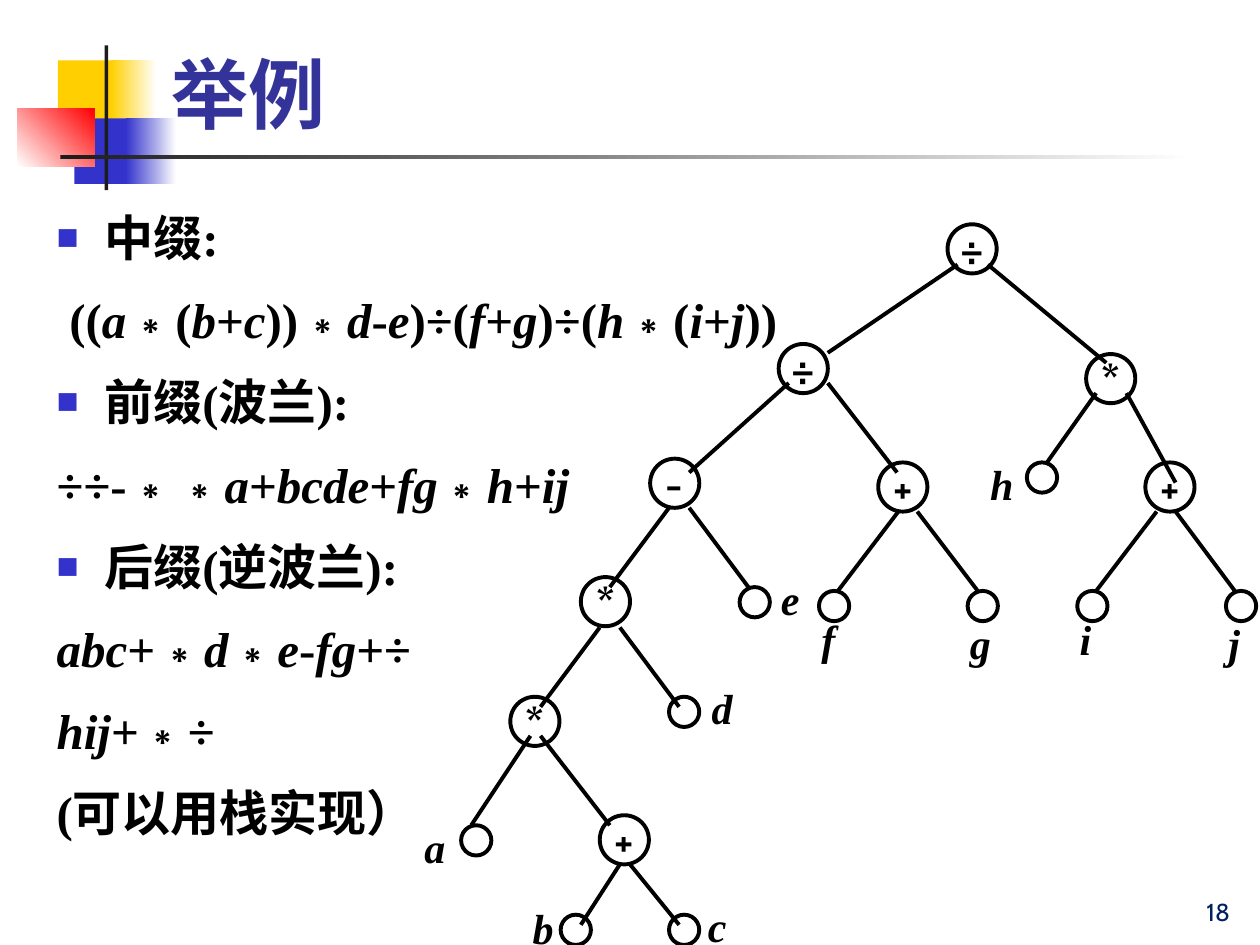
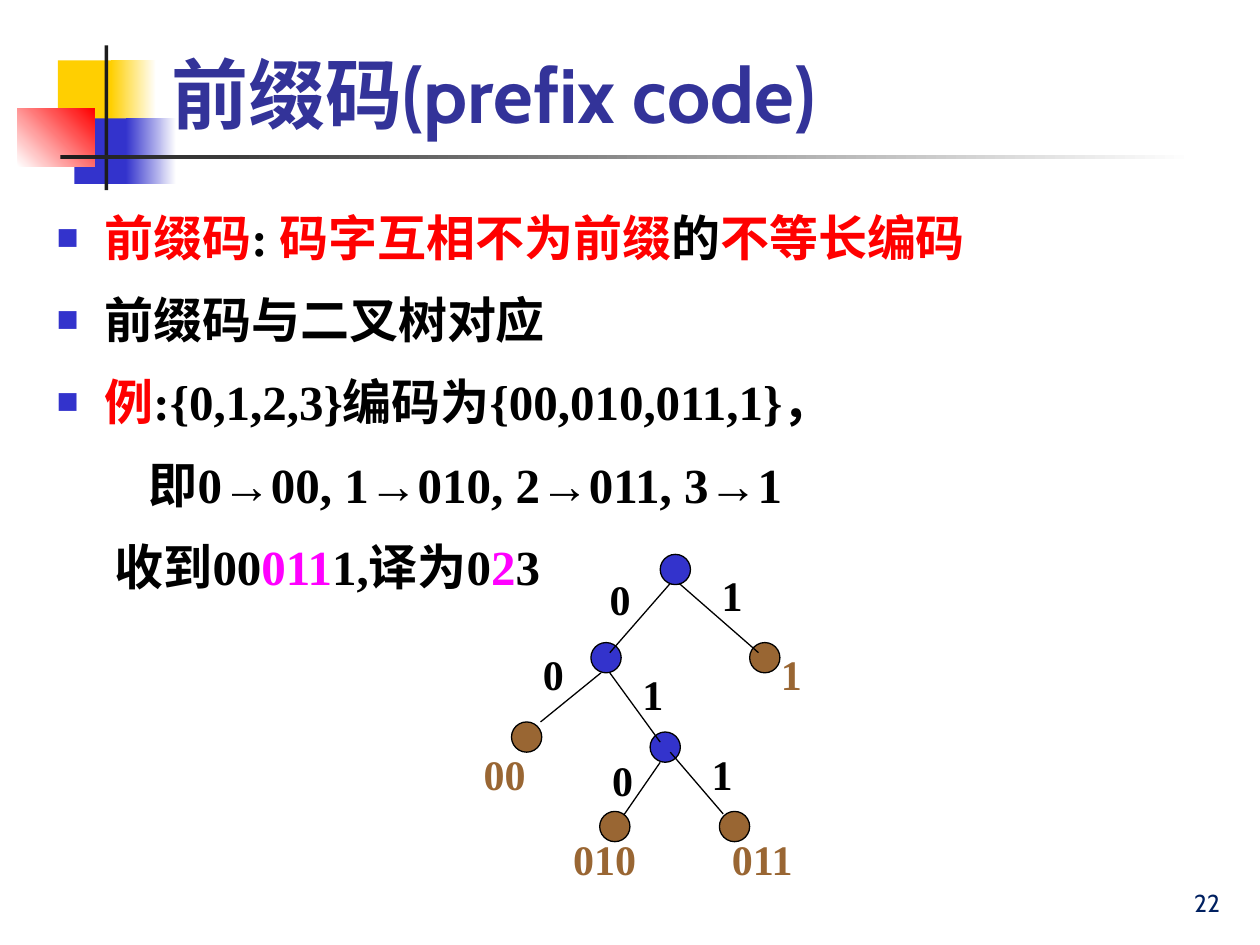
"""Build two slides on expression trees and prefix codes."""
from dataclasses import dataclass
from itertools import groupby

from lxml import etree
from pptx import Presentation
from pptx.dml.color import RGBColor
from pptx.enum.shapes import MSO_CONNECTOR, MSO_SHAPE
from pptx.enum.text import MSO_ANCHOR, MSO_AUTO_SIZE, PP_ALIGN
from pptx.oxml.ns import qn
from pptx.util import Inches, Pt


@dataclass(frozen=True)
class Theme:
    heading_font: str = "Cabin"
    text_font: str = "Times New Roman"
    title_size: int = 44
    body_size: int = 28
    tree_size: int = 24
    number_size: int = 14
    title: str = "333399"
    black: str = "000000"
    white: str = "FFFFFF"
    dark: str = "1C1C1C"
    blue: str = "3333CC"
    yellow: str = "FFCF01"
    red: str = "FF0000"
    magenta: str = "FF00FF"
    brown: str = "996633"
    navy: str = "002060"


theme = Theme()
LEAF, OPERATOR = 0.24, 0.39
HANGING = 0.38

BANDS = [
    (0.46, 0.48, 0.48, 0.52, [theme.yellow], 0),
    (0.88, 0.48, 0.36, 0.52, [theme.yellow, theme.white], 0),
    (0.59, 0.94, 0.46, 0.52, [theme.blue], 0),
    (1, 0.94, 0.4, 0.52, [theme.blue, theme.white], 0),
    (0.14, 0.86, 0.61, 0.46, [theme.white, theme.red], 45),
    (0.83, 0.36, 0.03, 1.15, [theme.dark], 0),
    (0.48, 1.23, 9, 0.03, [theme.dark, theme.white], 0),
]

expression_page = {
    "title": "举例",
    "number": ("18", 7.78, 6.9),
    "line_width": 2.25,
    "italic_labels": True,
    "body": [
        (True, 0, [("中缀:", theme.black)]),
        (False, 0.1, [("((a∗(b+c))∗d-e)÷(f+g)÷(h∗(i+j))", theme.black)]),
        (True, 0, [("前缀(波兰):", theme.black)]),
        (False, 0, [("÷÷-∗∗a+bcde+fg∗h+ij", theme.black)]),
        (True, 0, [("后缀(逆波兰):", theme.black)]),
        (False, 0, [("abc+∗d∗e-fg+÷", theme.black)]),
        (False, 0, [("hij+∗÷", theme.black)]),
        (False, 0, [("(可以用栈实现）", theme.black)]),
    ],
    "nodes": [
        ("÷", 7.52, 1.78, None), ("÷", 6.18, 2.73, None), ("*", 8.62, 2.81, None),
        ("-", 5.16, 3.64, None), ("+", 6.97, 3.67, None), ("+", 9.09, 3.67, None),
        ("*", 4.61, 4.58, None), ("*", 4.05, 5.53, None), ("+", 4.76, 6.47, None),
        ("", 8.15, 3.67, None), ("", 5.87, 4.66, None), ("", 6.5, 4.69, None),
        ("", 7.68, 4.69, None), ("", 8.55, 4.69, None), ("", 9.73, 4.69, None),
        ("", 5.31, 5.53, None), ("", 3.66, 6.55, None), ("", 4.45, 7.26, None),
        ("", 5.31, 7.26, None),
    ],
    "edges": [
        (7.6, 2.1, 6.57, 2.8), (7.84, 2.1, 8.78, 2.88),
        (6.26, 3.04, 5.47, 3.75), (6.57, 3.04, 7.12, 3.75),
        (8.7, 3.12, 8.31, 3.67), (8.94, 3.12, 9.33, 3.83),
        (5.31, 4.03, 4.84, 4.66), (5.47, 4.03, 5.94, 4.66),
        (7.13, 4.06, 6.65, 4.69), (7.28, 4.06, 7.76, 4.69),
        (9.18, 4.06, 8.7, 4.69), (9.33, 4.06, 9.8, 4.69),
        (4.76, 4.98, 4.29, 5.61), (4.92, 4.98, 5.39, 5.61),
        (4.21, 5.84, 3.74, 6.55), (4.29, 5.84, 4.84, 6.55),
        (4.92, 6.86, 4.61, 7.34), (5, 6.86, 5.39, 7.34),
    ],
    "labels": [
        ("a", 3.27, 6.47, theme.black), ("b", 4.13, 7.11, theme.black),
        ("c", 5.52, 7.1, theme.black), ("d", 5.55, 5.37, theme.black),
        ("e", 6.1, 4.5, theme.black), ("f", 6.42, 4.82, theme.black),
        ("g", 7.6, 4.85, theme.black), ("h", 7.76, 3.59, theme.black),
        ("i", 8.47, 4.82, theme.black), ("j", 9.65, 4.85, theme.black),
    ],
}

prefix_code_page = {
    "title": "前缀码(prefix code)",
    "number": ("22", 7.7, 6.83),
    "line_width": 0.75,
    "italic_labels": False,
    "body": [
        (True, 0, [("前缀码", theme.red), (": ", theme.black),
                   ("码字互相不为前缀", theme.red), ("的", theme.black),
                   ("不等长编码", theme.red)]),
        (True, 0, [("前缀码与二叉树对应", theme.black)]),
        (True, 0, [("例", theme.red),
                   (":{0,1,2,3}编码为{00,010,011,1}，", theme.black)]),
        (False, 0.73, [("即0→00, 1→010, 2→011, 3→1", theme.black)]),
        (False, 0.46, [("收到00", theme.black), ("011", theme.magenta),
                       ("1,译为0", theme.black), ("2", theme.magenta),
                       ("3", theme.black)]),
    ],
    "nodes": [
        ("", 5.24, 4.4, theme.blue), ("", 4.69, 5.1, theme.blue),
        ("", 5.95, 5.1, theme.brown), ("", 4.06, 5.73, theme.brown),
        ("", 5.16, 5.81, theme.blue), ("", 4.76, 6.44, theme.brown),
        ("", 5.71, 6.44, theme.brown),
    ],
    "edges": [
        (5.32, 4.63, 4.84, 5.18), (5.39, 4.63, 6.02, 5.18),
        (4.77, 5.34, 4.29, 5.73), (4.84, 5.34, 5.24, 5.89),
        (5.24, 6.05, 4.95, 6.47), (5.32, 5.97, 5.74, 6.46),
    ],
    "labels": [
        ("0", 4.74, 4.5, theme.black), ("1", 5.63, 4.47, theme.black),
        ("0", 4.21, 5.1, theme.black), ("1", 5, 5.26, theme.black),
        ("0", 4.76, 5.94, theme.black), ("1", 5.55, 5.89, theme.black),
        ("00", 3.74, 5.89, theme.brown), ("010", 4.45, 6.57, theme.brown),
        ("011", 5.71, 6.57, theme.brown), ("1", 6.1, 5.1, theme.brown),
    ],
}


def set_font(para, name, size, color, bold=True):
    para.font.name = name
    para.font.size = Pt(size)
    para.font.bold = bold
    para.font.color.rgb = RGBColor.from_string(color)


def set_bullet(para, bulleted, indent):
    props = para._p.get_or_add_pPr()
    props.set("marL", str(Inches(HANGING if bulleted else indent)))
    props.set("indent", str(Inches(-HANGING if bulleted else 0)))
    if not bulleted:
        etree.SubElement(props, qn("a:buNone"))
        return
    color = etree.SubElement(props, qn("a:buClr"))
    etree.SubElement(color, qn("a:srgbClr"), val=theme.blue)
    etree.SubElement(props, qn("a:buSzPct"), val="75000")
    etree.SubElement(props, qn("a:buFont"), typeface=theme.text_font)
    etree.SubElement(props, qn("a:buChar"), char="■")


deck = Presentation()
deck.slide_width, deck.slide_height = Inches(10), Inches(7.5)

for content in (expression_page, prefix_code_page):
    page = deck.slides.add_slide(deck.slide_layouts[1])
    title, body = page.placeholders

    for left, top, width, height, colors, angle in BANDS:
        band = page.shapes.add_shape(MSO_SHAPE.RECTANGLE, Inches(left), Inches(top),
                                     Inches(width), Inches(height))
        band.shadow.inherit = False
        band.line.fill.background()
        if len(colors) == 1:
            band.fill.solid()
            band.fill.fore_color.rgb = RGBColor.from_string(colors[0])
        else:
            band.fill.gradient()
            band.fill.gradient_angle = angle
            for position, (stop, color) in enumerate(zip(band.fill.gradient_stops, colors)):
                stop.position = position
                stop.color.rgb = RGBColor.from_string(color)

    title.left, title.top = Inches(1.26), Inches(0.08)
    title.width, title.height = Inches(8.52), Inches(1.07)
    title.text_frame.text = content["title"]
    title.text_frame.auto_size = MSO_AUTO_SIZE.NONE
    title.text_frame.vertical_anchor = MSO_ANCHOR.BOTTOM
    title_para = title.text_frame.paragraphs[0]
    title_para.alignment = PP_ALIGN.LEFT
    set_font(title_para, theme.heading_font, theme.title_size, theme.title)

    body.left, body.top = Inches(0.35), Inches(1.55)
    body.width, body.height = Inches(9.29), Inches(5.75)
    body.text_frame.auto_size = MSO_AUTO_SIZE.NONE
    for index, (bulleted, indent, spans) in enumerate(content["body"]):
        para = body.text_frame.paragraphs[0] if index == 0 else body.text_frame.add_paragraph()
        set_bullet(para, bulleted, indent)
        para.line_spacing = 1.1
        para.space_before = Pt(10 if index else 0)
        set_font(para, theme.text_font, theme.body_size, theme.black)
        for text, color in spans:
            for is_variable, letters in groupby(text, lambda c: c.isascii() and c.isalpha()):
                span = para.add_run()
                span.text = "".join(letters)
                if is_variable:
                    span.font.italic = True
                if color != theme.black:
                    span.font.color.rgb = RGBColor.from_string(color)

    for symbol, left, top, color in content["nodes"]:
        size = Inches(OPERATOR if symbol else LEAF)
        node = page.shapes.add_shape(MSO_SHAPE.OVAL, Inches(left), Inches(top), size, size)
        node.shadow.inherit = False
        node.line.color.rgb = RGBColor.from_string(theme.black)
        node.line.width = Pt(content["line_width"])
        if color:
            node.fill.solid()
            node.fill.fore_color.rgb = RGBColor.from_string(color)
        else:
            node.fill.background()
        if symbol:
            node.text_frame.text = symbol
            node.text_frame.word_wrap = False
            node.text_frame.vertical_anchor = MSO_ANCHOR.MIDDLE
            para = node.text_frame.paragraphs[0]
            para.alignment = PP_ALIGN.CENTER
            set_font(para, theme.heading_font, theme.tree_size, theme.black)

    for edge in content["edges"]:
        branch = page.shapes.add_connector(MSO_CONNECTOR.STRAIGHT, *map(Inches, edge))
        branch.line.color.rgb = RGBColor.from_string(theme.black)
        branch.line.width = Pt(content["line_width"])
        etree.SubElement(branch._element.spPr, qn("a:effectLst"))

    for text, left, top, color in content["labels"]:
        label = page.shapes.add_textbox(Inches(left), Inches(top),
                                        Inches(0.2 + 0.17 * len(text)), Inches(0.5))
        label.text_frame.word_wrap = False
        label.text_frame.text = text
        para = label.text_frame.paragraphs[0]
        set_font(para, theme.text_font, theme.tree_size, color)
        para.font.italic = content["italic_labels"]

    number, left, top = content["number"]
    number_box = page.shapes.add_textbox(Inches(left), Inches(top), Inches(2.08), Inches(0.5))
    number_box.text_frame.word_wrap = True
    number_box.text_frame.vertical_anchor = MSO_ANCHOR.BOTTOM
    number_box.text_frame.text = number
    para = number_box.text_frame.paragraphs[0]
    para.alignment = PP_ALIGN.RIGHT
    set_font(para, theme.heading_font, theme.number_size, theme.navy, bold=False)

deck.save("out.pptx")
